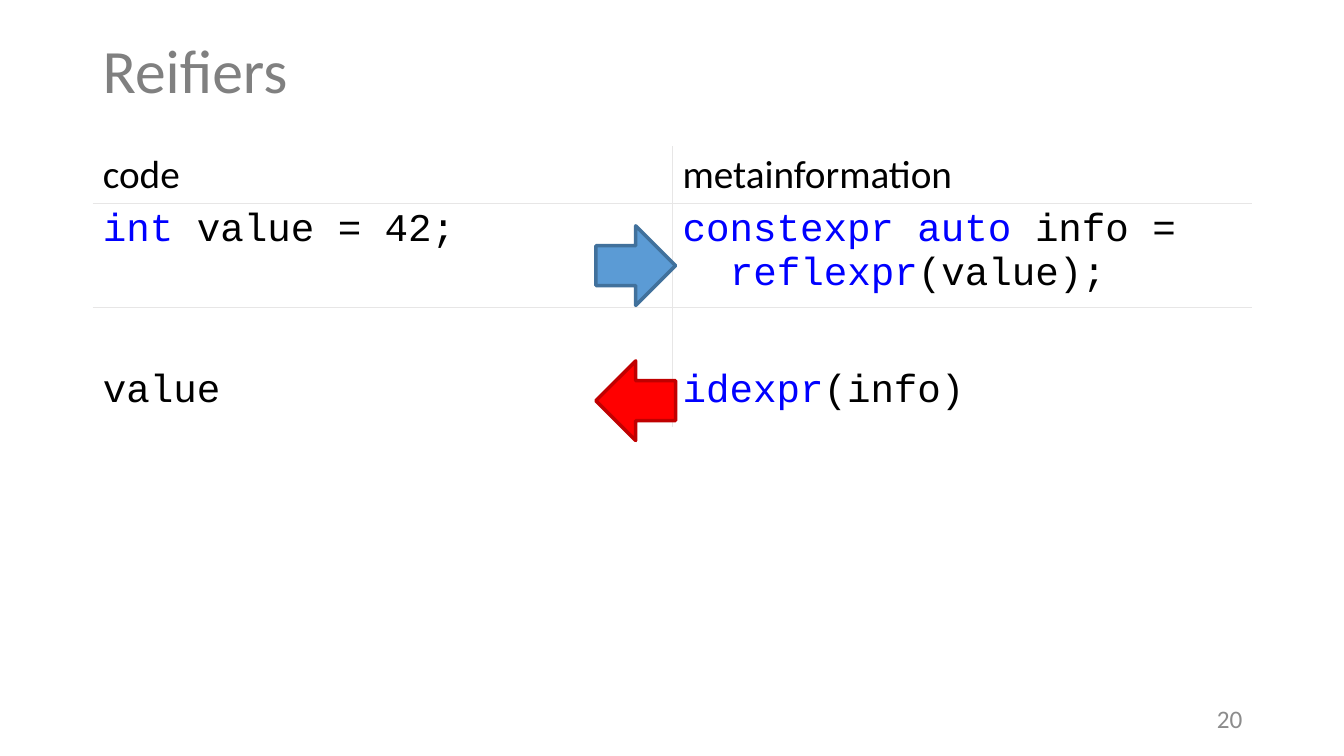
"""Build the slide on reifiers: code beside its metainformation."""
from lxml import etree
from pptx import Presentation
from pptx.dml.color import RGBColor
from pptx.enum import shapes, text
from pptx.oxml.ns import qn
from pptx.util import Inches, Pt

BLACK, BLUE, GRID = "000000", "0000FF", "E7E6E6"
NO_STYLE = "{2D5ABB26-0587-4C30-8999-92F81FD0307C}"


def color(value):
    return RGBColor.from_string(value)


def add_run(paragraph, words, size, font, value):
    run = paragraph.add_run()
    run.text = words
    run.font.size = Pt(size)
    run.font.name = font
    run.font.color.rgb = color(value)


presentation = Presentation()
presentation.slide_width = Inches(13.33)
presentation.slide_height = Inches(7.5)
slide = presentation.slides.add_slide(presentation.slide_layouts[6])

labels = [
    ("Reifiers", (0.92, 0, 11.5, 1.45), 44, "808080", text.PP_ALIGN.LEFT),
    ("20", (9.42, 6.95, 3, 0.4), 18, "8C8C8C", text.PP_ALIGN.RIGHT),
]
for words, box, size, value, alignment in labels:
    frame = slide.shapes.add_textbox(*map(Inches, box)).text_frame
    frame.word_wrap = True
    frame.vertical_anchor = text.MSO_ANCHOR.MIDDLE
    paragraph = frame.paragraphs[0]
    paragraph.alignment = alignment
    paragraph.line_spacing = 0.9
    add_run(paragraph, words, size, "Calibri", value)

rows = [
    (0.57, "Calibri", [[("code", BLACK)]], [[("metainformation", BLACK)]]),
    (0.98, "Courier New",
     [[("int", BLUE), (" value = 42;", BLACK)]],
     [[("constexpr auto", BLUE), (" info =", BLACK)],
      [("reflexpr", BLUE), ("(value);", BLACK)]]),
    (0.57, "Courier New", [], []),
    (0.61, "Courier New",
     [[("value", BLACK)]],
     [[("idexpr", BLUE), ("(info)", BLACK)]]),
]
table = slide.shapes.add_table(
    len(rows), 2, Inches(0.92), Inches(1.45), Inches(11.5), Inches(2.73)).table
table.first_row = False
table.horz_banding = False
table._tbl.tblPr.find(qn("a:tableStyleId")).text = NO_STYLE

for row_index, (height, font, *columns) in enumerate(rows):
    table.rows[row_index].height = Inches(height)
    for column_index, lines in enumerate(columns):
        cell = table.cell(row_index, column_index)
        for line_index, line in enumerate(lines):
            frame = cell.text_frame
            paragraph = frame.add_paragraph() if line_index else frame.paragraphs[0]
            if line_index:
                paragraph._p.get_or_add_pPr().set("marL", str(Inches(0.47)))
            for words, value in line:
                add_run(paragraph, words, 28, font, value)
        sides = ["a:lnL" if column_index else "a:lnR"]
        if row_index < 2:
            sides.append("a:lnT" if row_index else "a:lnB")
        properties = cell._tc.get_or_add_tcPr()
        for side in sorted(sides, key=["a:lnL", "a:lnR", "a:lnT", "a:lnB"].index):
            border = etree.SubElement(properties, qn(side), w=str(Pt(1)))
            fill = etree.SubElement(border, qn("a:solidFill"))
            etree.SubElement(fill, qn("a:srgbClr"), val=GRID)
        cell.fill.background()

arrows = [
    (shapes.MSO_SHAPE.RIGHT_ARROW, 2.24, "5B9BD5", "41719C"),
    (shapes.MSO_SHAPE.LEFT_ARROW, 3.58, "FF0000", "C00000"),
]
for kind, top, fill_color, line_color in arrows:
    arrow = slide.shapes.add_shape(
        kind, Inches(5.91), Inches(top), Inches(0.79), Inches(0.79))
    arrow.shadow.inherit = False
    arrow.fill.solid()
    arrow.fill.fore_color.rgb = color(fill_color)
    arrow.line.color.rgb = color(line_color)
    arrow.line.width = Pt(2.5)

presentation.save("out.pptx")
